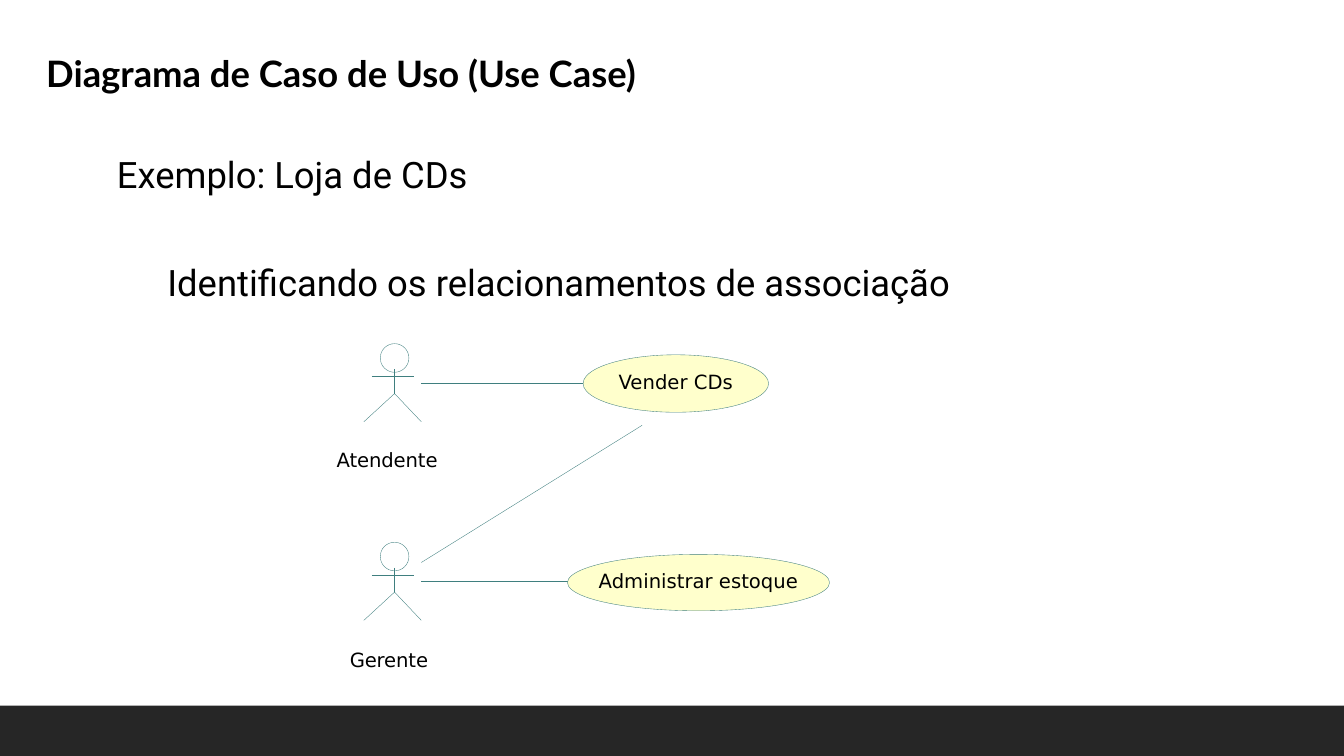
from math import cos, pi, sin

from lxml.etree import SubElement as Sub
from pptx import Presentation
from pptx.dml.color import RGBColor as Rgb
from pptx.enum.shapes import MSO_CONNECTOR as Conn, MSO_SHAPE as Kind
from pptx.enum.text import MSO_ANCHOR as Anchor, PP_ALIGN as Align
from pptx.oxml.ns import qn
from pptx.util import Inches, Pt

HUES = {"ink": "000000", "bar": "262626", "line": "3F7F7F", "case": "FFFFCC"}
WIDE, HIGH = 133.33, 75
CELL = Inches(0.1)

deck = Presentation()
deck.slide_width, deck.slide_height = round(WIDE * CELL), HIGH * CELL
slide = deck.slides.add_slide(deck.slide_layouts[6])
shapes = slide.shapes


def grid(*cells):
    """Turn counts of grid cells into lengths."""
    return [round(cell * CELL) for cell in cells]


def write(frame, text, look, first=True):
    """Put a paragraph into a frame, with its font set from look."""
    para = frame.paragraphs[0] if first else frame.add_paragraph()
    run = para.add_run()
    run.text = text
    for key, value in look.items():
        setattr(run.font, key, value)
    run.font.color.rgb = Rgb.from_string(HUES["ink"])
    return para


bar = shapes.add_shape(Kind.RECTANGLE, *grid(0, 70, WIDE, 5))
bar.shadow.inherit = False
bar.fill.solid()
bar.fill.fore_color.rgb = Rgb.from_string(HUES["bar"])
bar.line.fill.background()

# Headings
head = {"name": "Lato", "size": Pt(26), "bold": True}
body = {"name": "Roboto", "size": Pt(26)}
tag = {"name": "DejaVu Sans", "size": Pt(14)}

title = shapes.add_textbox(*grid(3.6, 4.3, 82.6, 5.5)).text_frame
title.word_wrap = True
write(title, "Diagrama de Caso de Uso (Use Case)", head).line_spacing = 1.07

intro = shapes.add_textbox(*grid(11.6, 15, 88.8, 15.4)).text_frame
intro.word_wrap = True
intro.margin_left = intro.margin_right = intro.margin_bottom = 0
intro.margin_top = Inches(0.01)
write(intro, "Exemplo: Loja de CDs", body)
step = write(intro, "Identificando os relacionamentos de associação", body, False)
step.space_before = Pt(46)
step._p.get_or_add_pPr().set("marL", str(Inches(0.5)))

# Actors: name, top of head, left and top of label
MID, RAD, SIDES = 39.15, 1.42, 32
turns = [2 * pi * n / SIDES for n in range(SIDES)]
pen = shapes.build_freeform(*grid(36.1, 41.8), scale=1.0)
for name, top, left, low in [("Atendente", 34.1, 33.4, 44.3),
                             ("Gerente", 53.8, 34.7, 64.2)]:
    hip, foot, arm = top + 4.95, top + 7.75, top + 3.25
    ring = [(MID + RAD * sin(turn), top + RAD - RAD * cos(turn)) for turn in turns]
    for dots, shut in [(ring, True),
                       ([(MID, top + 2.55), (MID, hip)], False),
                       ([(36.9, arm), (41.1, arm)], False),
                       ([(36.1, foot), (MID, hip), (41.8, foot)], False)]:
        pen.move_to(*grid(*dots[0]))
        pen.add_line_segments([grid(*dot) for dot in dots[1:]], close=shut)

    label = shapes.add_textbox(*grid(left, low, 12, 2.6)).text_frame
    label.word_wrap = True
    label.margin_left = label.margin_right = label.margin_bottom = 0
    label.margin_top = Inches(0.01)
    para = write(label, name, tag)
    para.runs[0]._r.get_or_add_rPr().set("spc", "-10")

actors = pen.convert_to_shape()
actors.shadow.inherit = False
actors.fill.background()
parts = [actors]

# Associations
for ends in [(41.8, 38, 57.9, 38), (41.8, 55.8, 63.7, 42.2),
             (41.8, 57.65, 56.3, 57.65)]:
    link = shapes.add_connector(Conn.STRAIGHT, *grid(*ends))
    Sub(link._element.spPr, qn("a:effectLst"))
    parts.append(link)

# Use cases
for name, *box in [("Vender CDs", 57.85, 35.2, 18.4, 5.7),
                   ("Administrar estoque", 56.3, 55, 26, 5.6)]:
    case = shapes.add_shape(Kind.OVAL, *grid(*box))
    case.shadow.inherit = False
    case.fill.solid()
    case.fill.fore_color.rgb = Rgb.from_string(HUES["case"])
    frame = case.text_frame
    frame.word_wrap = False
    frame.vertical_anchor = Anchor.MIDDLE
    frame.margin_top, frame.margin_bottom = 0, Inches(0.04)
    write(frame, name, tag).alignment = Align.CENTER
    parts.append(case)

for part in parts:
    part.line.color.rgb = Rgb.from_string(HUES["line"])
    part.line.width = Pt(0.25)

deck.save("out.pptx")
